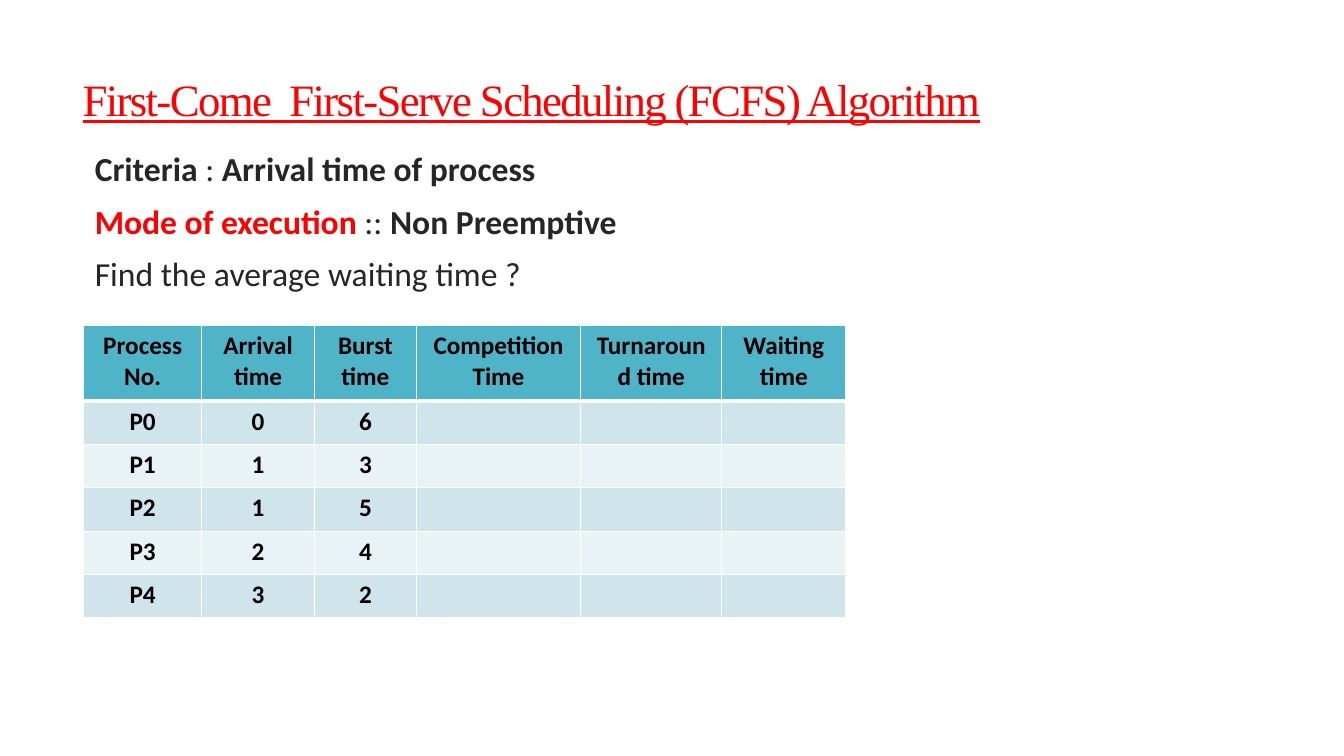
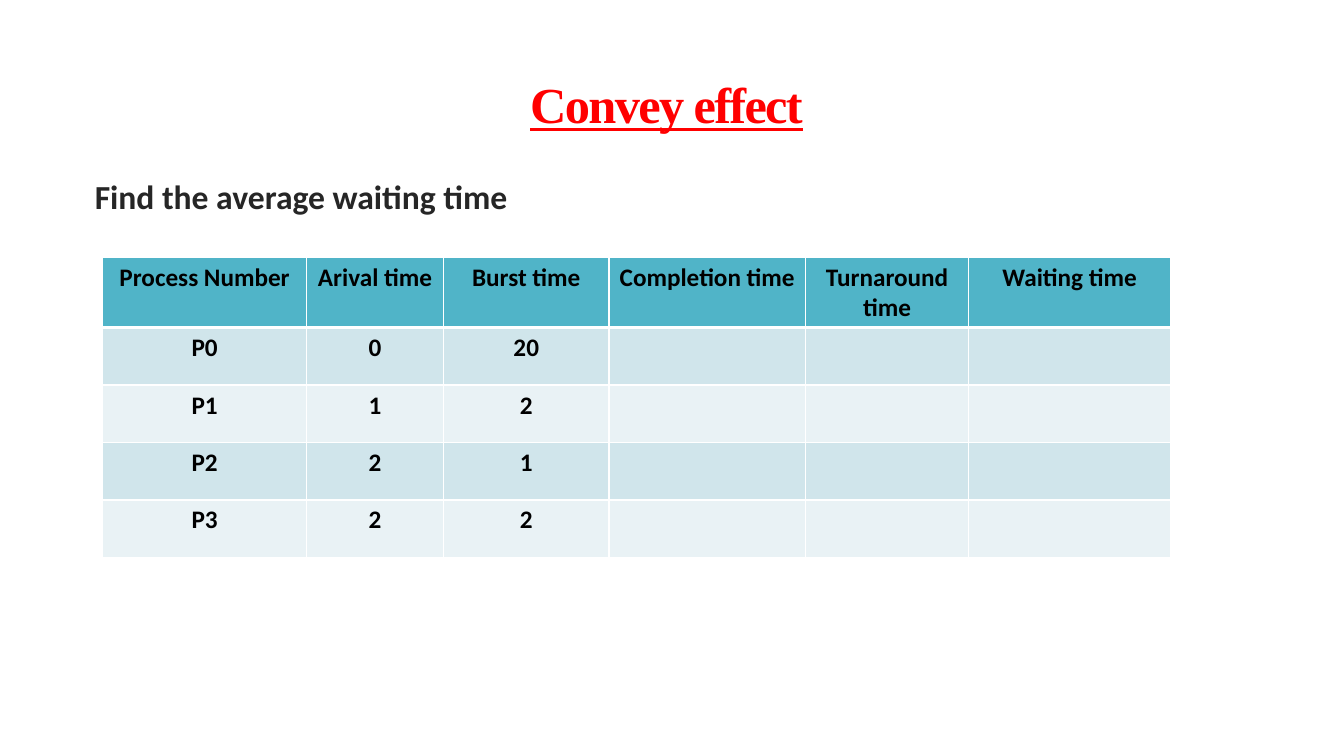
"""Build two slides on first-come first-serve scheduling."""
import pptx
import pptx.dml.color
import pptx.enum.text
import pptx.oxml.ns
import pptx.util
from lxml import etree

Inches = pptx.util.Inches
Pt = pptx.util.Pt
ALIGN = pptx.enum.text.PP_ALIGN
ANCHOR = pptx.enum.text.MSO_ANCHOR
qn = pptx.oxml.ns.qn

RED, INK, BLACK, WHITE = "FF0000", "262626", "000000", "FFFFFF"
HEADER_FILL = "50B4C8"
BAND_FILLS = ["D0E5EB", "E9F2F5"]
TITLE_FONT, BODY_FONT = "Times New Roman", "Calibri"


def style_run(run, font_name, size, color, bold):
    run.font.name = font_name
    run.font.size = Pt(size)
    run.font.color.rgb = pptx.dml.color.RGBColor.from_string(color)
    run.font.bold = bold


def add_text_frame(slide, left, top, width, height):
    text_box = slide.shapes.add_textbox(Inches(left), Inches(top), Inches(width), Inches(height))
    text_box.text_frame.word_wrap = True
    return text_box.text_frame


slides = [
    {
        "title": "First-Come  First-Serve Scheduling (FCFS) Algorithm",
        "title_size": 32, "title_bold": False, "title_align": ALIGN.LEFT, "title_height": 0.94,
        "body_top": 1.48, "body_height": 5.47,
        "body": [
            [("Criteria", INK, True), (" : ", INK, False), ("Arrival time of process", INK, True)],
            [("Mode of execution ", RED, True), (":: ", INK, False), ("Non Preemptive", INK, True)],
            [("Find the average waiting time ?", INK, False)],
        ],
        "table_left": 0.83, "table_top": 3.23,
        "columns": [1.17, 1.12, 1.01, 1.63, 1.4, 1.23],
        "header_height": 0.75, "row_height": 0.43,
        "rows": [
            ["Process No.", "Arrival time", "Burst time", "Competition Time",
             "Turnaround time", "Waiting time"],
            ["P0", "0", "6"],
            ["P1", "1", "3"],
            ["P2", "1", "5"],
            ["P3", "2", "4"],
            ["P4", "3", "2"],
        ],
    },
    {
        "title": "Convey effect",
        "title_size": 36, "title_bold": True, "title_align": ALIGN.CENTER, "title_height": 1.05,
        "body_top": 1.76, "body_height": 4.56,
        "body": [[("Find the average waiting time", INK, True)]],
        "table_left": 1.02, "table_top": 2.55,
        "columns": [2.02, 1.36, 1.64, 1.95, 1.62, 2],
        "header_height": 0.47, "row_height": 0.57,
        "rows": [
            ["Process Number", "Arival time", "Burst time", "Completion time",
             "Turnaround time", "Waiting time"],
            ["P0", "0", "20"],
            ["P1", "1", "2"],
            ["P2", "2", "1"],
            ["P3", "2", "2"],
        ],
    },
]

presentation = pptx.Presentation()
presentation.slide_width = Inches(13.33)
presentation.slide_height = Inches(7.5)

for content in slides:
    slide = presentation.slides.add_slide(presentation.slide_layouts[6])

    title_frame = add_text_frame(slide, 0.72, 0.55, 11.78, content["title_height"])
    title_frame.vertical_anchor = ANCHOR.MIDDLE
    title_frame.text = content["title"]
    paragraph = title_frame.paragraphs[0]
    paragraph.alignment = content["title_align"]
    paragraph.line_spacing = 0.85
    title_run = paragraph.runs[0]
    style_run(title_run, TITLE_FONT, content["title_size"], RED, content["title_bold"])
    title_run.font.underline = True
    title_run.font._element.set("spc", "-120")

    body_frame = add_text_frame(slide, 0.74, content["body_top"], 11.76, content["body_height"])
    body_frame.margin_left = Inches(0.2)
    for index, line in enumerate(content["body"]):
        paragraph = body_frame.add_paragraph() if index else body_frame.paragraphs[0]
        paragraph.line_spacing = 0.85
        paragraph.space_before = Pt(13)
        for text, color, bold in line:
            run = paragraph.add_run()
            run.text = text
            style_run(run, BODY_FONT, 24, color, bold)

    rows, columns = content["rows"], content["columns"]
    heights = [content["header_height"]] + [content["row_height"]] * (len(rows) - 1)
    table = slide.shapes.add_table(
        len(rows), len(columns), Inches(content["table_left"]), Inches(content["table_top"]),
        Inches(sum(columns)), Inches(sum(heights))).table
    for column, width in zip(table.columns, columns):
        column.width = Inches(width)

    for row_index, (row, height) in enumerate(zip(table.rows, heights)):
        row.height = Inches(height)
        fill = BAND_FILLS[(row_index - 1) % 2] if row_index else HEADER_FILL
        thick_side = {0: "lnB", 1: "lnT"}.get(row_index)
        for cell in row.cells:
            properties = cell._tc.get_or_add_tcPr()
            for side in ("lnL", "lnR", "lnT", "lnB"):
                border_width = Pt(3 if side == thick_side else 1)
                border = etree.SubElement(properties, qn("a:" + side), w=str(border_width))
                border_fill = etree.SubElement(border, qn("a:solidFill"))
                etree.SubElement(border_fill, qn("a:srgbClr"), val=WHITE)
            cell.fill.solid()
            cell.fill.fore_color.rgb = pptx.dml.color.RGBColor.from_string(fill)
        for cell, text in zip(row.cells, rows[row_index]):
            cell.text_frame.text = text
            paragraph = cell.text_frame.paragraphs[0]
            paragraph.alignment = ALIGN.CENTER
            style_run(paragraph.runs[0], BODY_FONT, 18, BLACK, True)

presentation.save("out.pptx")
